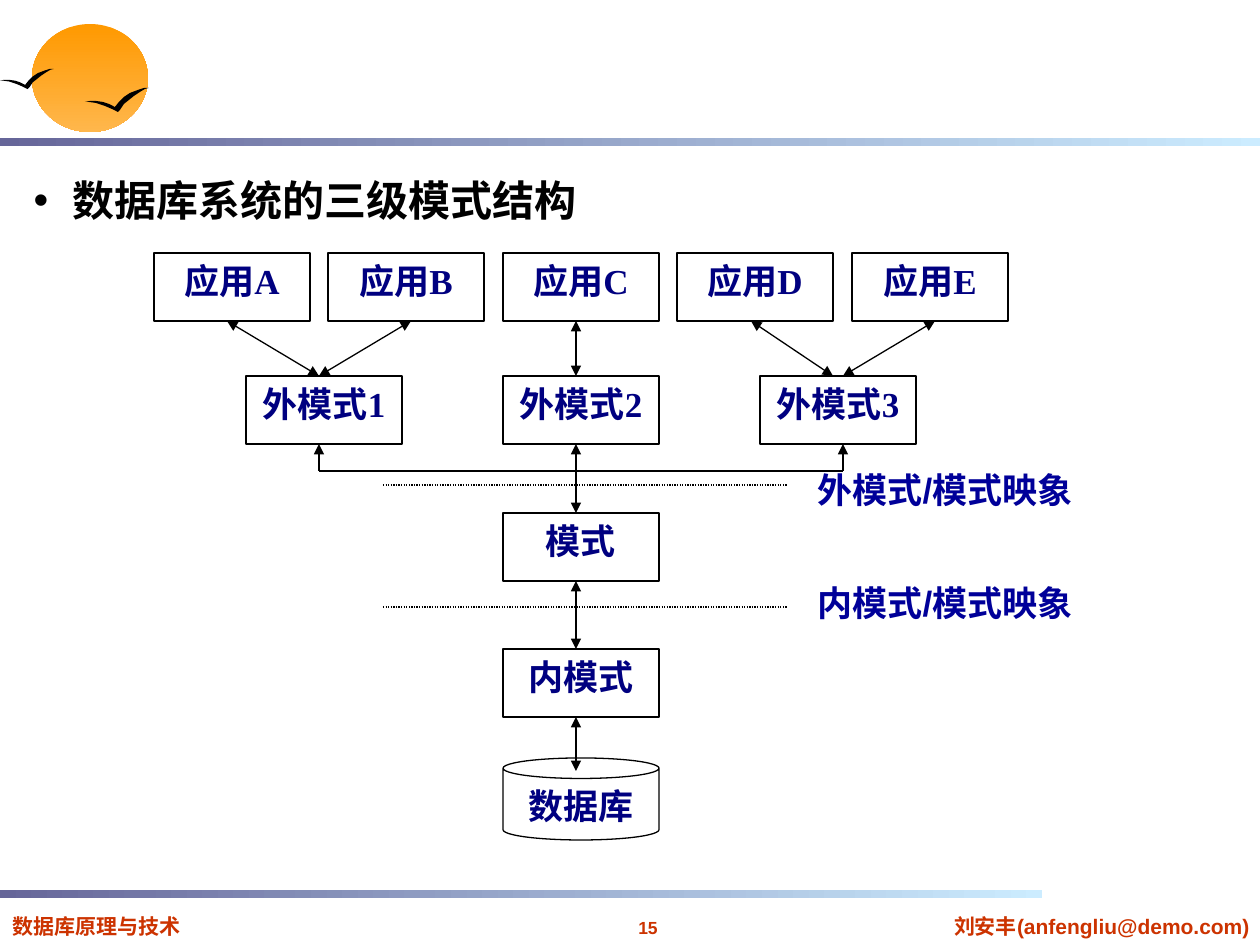
"""Build a slide on the three-level schema structure of a database system."""
from typing import NamedTuple

from lxml import etree
from pptx import Presentation
from pptx.dml.color import RGBColor
from pptx.enum.dml import MSO_LINE
from pptx.enum.shapes import MSO_CONNECTOR, MSO_SHAPE
from pptx.enum.text import MSO_ANCHOR, MSO_AUTO_SIZE, PP_ALIGN
from pptx.oxml.ns import qn
from pptx.util import Emu, Pt

EMU_PER_PX = 914400 / 126
RECT, CAN, OVAL = MSO_SHAPE.RECTANGLE, MSO_SHAPE.CAN, MSO_SHAPE.OVAL
STRAIGHT, DOTTED = MSO_CONNECTOR.STRAIGHT, MSO_LINE.ROUND_DOT
LEFT, CENTER, TOP = PP_ALIGN.LEFT, PP_ALIGN.CENTER, MSO_ANCHOR.TOP
FIXED = MSO_AUTO_SIZE.NONE

BLACK = RGBColor(0x00, 0x00, 0x00)
NAVY = RGBColor(0x00, 0x00, 0x80)
MAPPING_BLUE = RGBColor(0x00, 0x00, 0x99)
FOOTER_RED = RGBColor(0xCC, 0x33, 0x00)
BAR_DARK = RGBColor(0x66, 0x66, 0x99)
BAR_LIGHT = RGBColor(0xCC, 0xEC, 0xFF)
SUN_TOP = RGBColor(0xFF, 0x99, 0x00)
SUN_BOTTOM = RGBColor(0xFF, 0xB7, 0x4C)

LATIN, SERIF, CHINESE = "Arial", "Times New Roman", "Noto Sans CJK SC"
BOX_WIDTH, BOX_HEIGHT = 156, 68
APP_Y, EXTERNAL_Y, SCHEMA_Y, INTERNAL_Y, STORE_Y = 253, 376, 513, 649, 758
APP_X, APP_DOUBLE_STEP = 154, 349
EXTERNAL_X, EXTERNAL_STEP = 246, 257
CENTRE_X = 503
AXIS_X, BUS_LEFT, BUS_RIGHT, BUS_Y = 576, 319, 843, 471
BIRD = [(0, 14), (5, 13), (11, 13), (18, 14), (24, 16), (30, 19), (34, 14), (39, 9),
        (45, 5), (53, 2), (59, 0), (64, 0), (60, 1), (55, 4), (49, 8), (44, 12),
        (39, 16), (35, 22), (33, 24), (27, 21), (20, 18), (11, 15), (4, 14)]


class Area(NamedTuple):
    """A rectangle in px."""
    x: int
    y: int
    width: int
    height: int


class Node(NamedTuple):
    """A box of the diagram."""
    label: str
    x: int
    y: int
    height: int = BOX_HEIGHT
    outline: MSO_SHAPE = RECT


class Link(NamedTuple):
    """A line of the diagram with its arrowheads."""
    x1: int
    y1: int
    x2: int
    y2: int
    ends: tuple = ("headEnd", "tailEnd")
    dotted: bool = False


NODES = [
    *(Node(f"应用{letter}", APP_X + i * APP_DOUBLE_STEP // 2, APP_Y)
      for i, letter in enumerate("ABCDE")),
    *(Node(f"外模式{i + 1}", EXTERNAL_X + i * EXTERNAL_STEP, EXTERNAL_Y) for i in range(3)),
    Node("模式", CENTRE_X, SCHEMA_Y),
    Node("内模式", CENTRE_X, INTERNAL_Y),
    Node("数据库", CENTRE_X, STORE_Y, 82, CAN),
]
LINKS = [
    *(Link(AXIS_X, start, AXIS_X, end) for start, end in
      [(321, EXTERNAL_Y), (444, SCHEMA_Y), (581, INTERNAL_Y), (717, 771)]),
    Link(BUS_LEFT, BUS_Y, BUS_RIGHT, BUS_Y, ()),
    *(Link(x, BUS_Y, x, 444, ("tailEnd",)) for x in (BUS_LEFT, BUS_RIGHT)),
    *(Link(383, y, 787, y, (), True) for y in (485, 607)),
    *(Link(app, 321, external, EXTERNAL_Y) for app, external in
      [(227, BUS_LEFT), (411, BUS_LEFT), (751, 833), (935, BUS_RIGHT)]),
]


def px(value: int) -> Emu:
    """Turn px into EMU."""
    return Emu(round(value * EMU_PER_PX))


def place(area: Area) -> list:
    """Turn an area into EMU lengths."""
    return [px(value) for value in area]


def write(shape, text: str, *, size: int, color: RGBColor, font: str = LATIN,
          align=CENTER, wrap: bool = True):
    """Put one bold paragraph in a shape and return it."""
    frame = shape.text_frame
    frame.word_wrap = wrap
    frame.auto_size = FIXED
    frame.vertical_anchor = TOP
    paragraph = frame.paragraphs[0]
    paragraph.alignment = align
    run = paragraph.add_run()
    run.text = text
    run.font.size = Pt(size)
    run.font.bold = True
    run.font.color.rgb = color
    run.font.name = font
    etree.SubElement(run.font._element, qn("a:ea"), typeface=CHINESE)
    return paragraph


def draw_gradient(shapes, outline, area: Area, colors: tuple, angle: int = 0) -> None:
    """Draw a borderless shape with a two-colour gradient."""
    shape = shapes.add_shape(outline, *place(area))
    shape.shadow.inherit = False
    shape.line.fill.background()
    shape.fill.gradient()
    shape.fill.gradient_angle = angle
    for stop, color in zip(shape.fill.gradient_stops, colors):
        stop.color.rgb = color


def draw_bird(shapes, x: int, y: int, scale: float) -> None:
    """Draw a black bird with its wings spread."""
    builder = shapes.build_freeform(*BIRD[0], scale=EMU_PER_PX * scale)
    builder.add_line_segments(BIRD[1:], close=True)
    bird = builder.convert_to_shape(px(x), px(y))
    bird.shadow.inherit = False
    bird.fill.solid()
    bird.fill.fore_color.rgb = BLACK
    bird.line.fill.background()


def draw_node(shapes, node: Node) -> None:
    """Draw a labelled box of the diagram."""
    area = Area(node.x, node.y, BOX_WIDTH, node.height)
    shape = shapes.add_shape(node.outline, *place(area))
    shape.shadow.inherit = False
    shape.fill.background()
    shape.line.color.rgb = BLACK
    shape.line.width = Pt(0.75)
    write(shape, node.label, size=20, color=NAVY, font=SERIF)


def draw_link(shapes, link: Link) -> None:
    """Draw a line of the diagram."""
    connector = shapes.add_connector(STRAIGHT, px(link.x1), px(link.y1), px(link.x2), px(link.y2))
    connector.line.color.rgb = BLACK
    connector.line.width = Pt(0.75)
    if link.dotted:
        connector.line.dash_style = DOTTED
    properties = connector._element.spPr
    outline = properties.find(qn("a:ln"))
    for end in link.ends:
        etree.SubElement(outline, qn(f"a:{end}"), type="triangle")
    etree.SubElement(properties, qn("a:effectLst"))


def draw_heading(title) -> None:
    """Move and format the title as a bulleted heading."""
    title.left, title.top, title.width, title.height = place(Area(21, 168, 1176, 63))
    paragraph = write(title, "数据库系统的三级模式结构", size=24, color=BLACK,
                      font=CHINESE, align=LEFT)
    properties = paragraph._p.get_or_add_pPr()
    properties.set("marL", str(px(39)))
    properties.set("indent", str(-px(39)))
    bullet_color = etree.SubElement(properties, qn("a:buClr"))
    etree.SubElement(bullet_color, qn("a:srgbClr"), val=str(BLACK))
    etree.SubElement(properties, qn("a:buFont"), typeface=LATIN)
    etree.SubElement(properties, qn("a:buChar"), char="•")


def main() -> None:
    """Build and save the slide."""
    deck = Presentation()
    deck.slide_width, deck.slide_height = px(1260), px(945)
    slide = deck.slides.add_slide(deck.slide_layouts[5])
    shapes = slide.shapes

    draw_gradient(shapes, OVAL, Area(32, 24, 116, 108), (SUN_TOP, SUN_BOTTOM), 270)
    draw_bird(shapes, 0, 69, 0.84)
    draw_bird(shapes, 85, 88, 1)
    for y, width in [(138, 1260), (890, 1042)]:
        draw_gradient(shapes, RECT, Area(0, y, width, 8), (BAR_DARK, BAR_LIGHT))

    for text, area, size, align, wrap in [
        ("刘安丰(anfengliu@demo.com)", Area(944, 907, 316, 38), 12, CENTER, False),
        ("15", Area(593, 911, 110, 34), 10, CENTER, False),
        ("数据库原理与技术", Area(0, 907, 252, 38), 12, LEFT, True),
    ]:
        write(shapes.add_textbox(*place(area)), text, size=size, color=FOOTER_RED,
              align=align, wrap=wrap)

    draw_heading(shapes.title)
    for node in NODES:
        draw_node(shapes, node)
    for link in LINKS:
        draw_link(shapes, link)
    for level, y in [("外", 462), ("内", 575)]:
        mapping = shapes.add_textbox(*place(Area(798, y, 294, 97)))
        write(mapping, f"{level}模式/模式映象", size=20, color=MAPPING_BLUE)
    deck.save("out.pptx")


if __name__ == "__main__":
    main()
